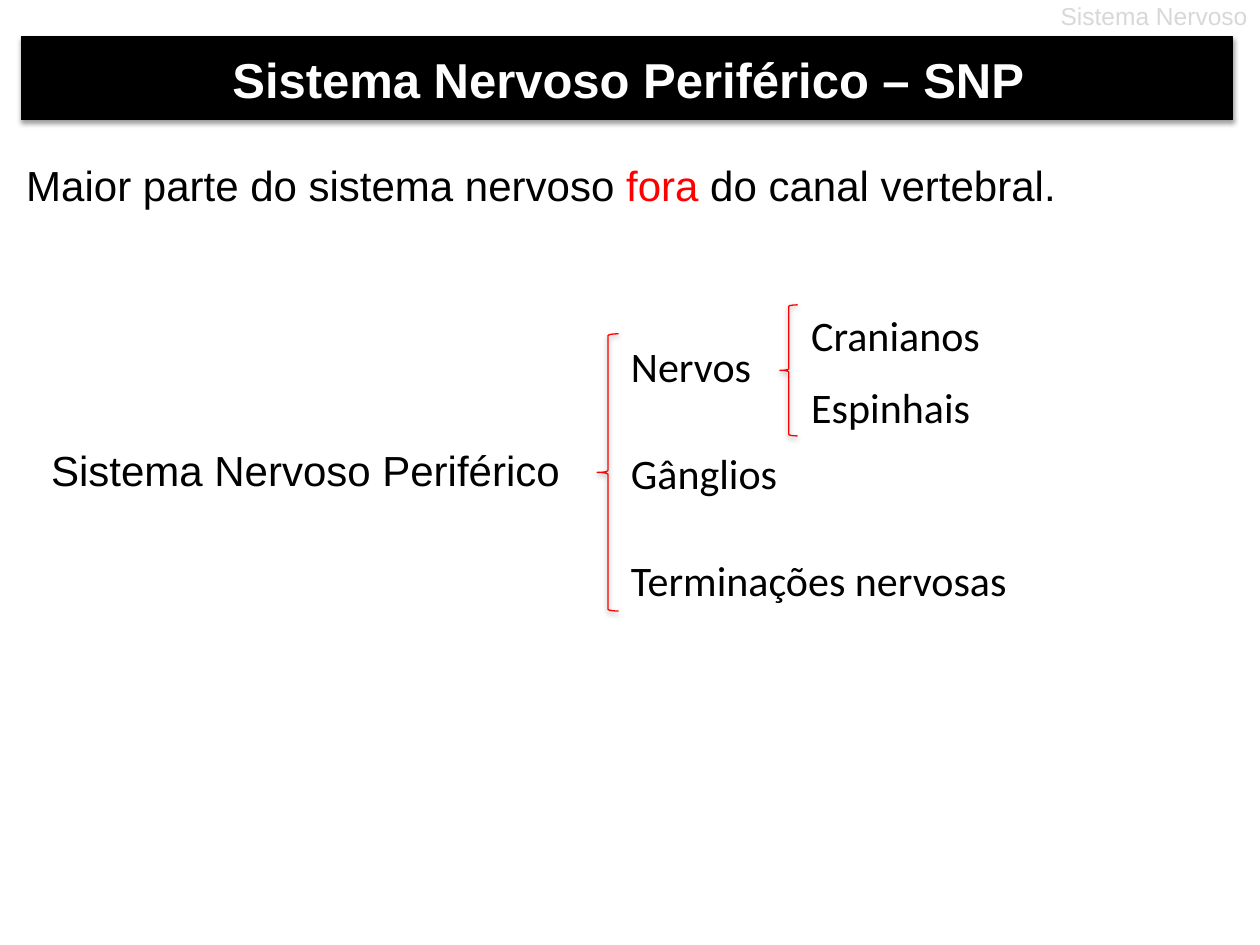
"""Build a slide on the parts of the peripheral nervous system."""
from dataclasses import dataclass

from lxml import etree
from pptx import Presentation
from pptx.dml.color import RGBColor
from pptx.enum.shapes import MSO_SHAPE
from pptx.enum.text import PP_ALIGN
from pptx.oxml.ns import qn
from pptx.util import Inches, Pt

LEFT, MID, RIGHT = PP_ALIGN.LEFT, PP_ALIGN.CENTER, PP_ALIGN.RIGHT
RECT, BRACE = MSO_SHAPE.RECTANGLE, MSO_SHAPE.LEFT_BRACE


@dataclass(frozen=True)
class Theme:
    black: str = "000000"
    white: str = "FFFFFF"
    gray: str = "D8D8D8"
    red: str = "FF0000"
    sans: str = "Arial"
    body: str = "Calibri"
    small: int = 14
    text: int = 24
    title: int = 28
    line: float = 0.75


THEME = Theme()


@dataclass(frozen=True)
class Box:
    left: float
    top: float
    width: float
    height: float

    def emu(self) -> list:
        return [Inches(n) for n in (self.left, self.top, self.width, self.height)]


@dataclass(frozen=True)
class Run:
    text: str
    color: str = THEME.black


@dataclass(frozen=True)
class Label:
    box: Box
    runs: tuple[Run, ...]
    font: str = THEME.body
    size: int = THEME.text
    align: PP_ALIGN = LEFT
    bold: bool = False


@dataclass(frozen=True)
class Form:
    kind: MSO_SHAPE
    box: Box
    color: str
    solid: bool = False


def add_label(slide, label: Label) -> None:
    frame = slide.shapes.add_textbox(*label.box.emu()).text_frame
    frame.word_wrap = True
    para = frame.paragraphs[0]
    para.alignment = label.align
    for part in label.runs:
        run = para.add_run()
        run.text = part.text
        run.font.name = label.font
        run.font.size = Pt(label.size)
        run.font.bold = label.bold
        run.font.color.rgb = RGBColor.from_string(part.color)


def add_shadow(shape) -> None:
    shape.shadow.inherit = False
    group = shape.element.spPr.find(qn("a:effectLst"))
    outer = etree.SubElement(
        group, qn("a:outerShdw"), blurRad=str(Pt(3.1)), dist=str(Pt(1.6)),
        dir="5400000", rotWithShape="0")
    color = etree.SubElement(outer, qn("a:srgbClr"), val=THEME.black)
    etree.SubElement(color, qn("a:alpha"), val="38000")


def add_form(slide, form: Form) -> None:
    shape = slide.shapes.add_shape(form.kind, *form.box.emu())
    color = RGBColor.from_string(form.color)
    if form.solid:
        shape.fill.solid()
        shape.fill.fore_color.rgb = color
    else:
        shape.fill.background()
    shape.line.color.rgb = color
    shape.line.width = Pt(THEME.line)
    add_shadow(shape)


def branch(words: list[str], left: float, top: float, step: float, width: float) -> list[Label]:
    return [Label(Box(left, top + row * step, width, 0.5), (Run(word),))
            for row, word in enumerate(words)]


FORMS = [
    Form(RECT, Box(0.17, 0.29, 9.61, 0.66), THEME.black, solid=True),
    Form(BRACE, Box(4.74, 2.65, 0.17, 2.2), THEME.red),
    Form(BRACE, Box(6.19, 2.42, 0.14, 1.04), THEME.red),
]
LABELS = [
    Label(Box(3.78, -0.04, 6.22, 0.34), (Run("Sistema Nervoso", THEME.gray),),
          THEME.sans, THEME.small, RIGHT),
    Label(Box(0.24, 0.34, 9.49, 0.57), (Run("Sistema Nervoso Periférico – SNP", THEME.white),),
          THEME.sans, THEME.title, MID, bold=True),
    Label(Box(0.11, 1.22, 9.49, 0.5),
          (Run("Maior parte do sistema nervoso "), Run("fora", THEME.red),
           Run(" do canal vertebral.")), THEME.sans),
    Label(Box(0.11, 3.48, 4.63, 0.5), (Run("Sistema Nervoso Periférico"),),
          THEME.sans, align=MID),
    *branch(["Nervos", "Gânglios", "Terminações nervosas"], 4.91, 2.65, 0.85, 3.33),
    *branch(["Cranianos", "Espinhais"], 6.34, 2.41, 0.57, 2),
]


def main() -> None:
    deck = Presentation()
    deck.slide_width, deck.slide_height = Inches(10), Inches(7.5)
    slide = deck.slides.add_slide(deck.slide_layouts[6])
    for form in FORMS:
        add_form(slide, form)
    for label in LABELS:
        add_label(slide, label)
    deck.save("out.pptx")


if __name__ == "__main__":
    main()
